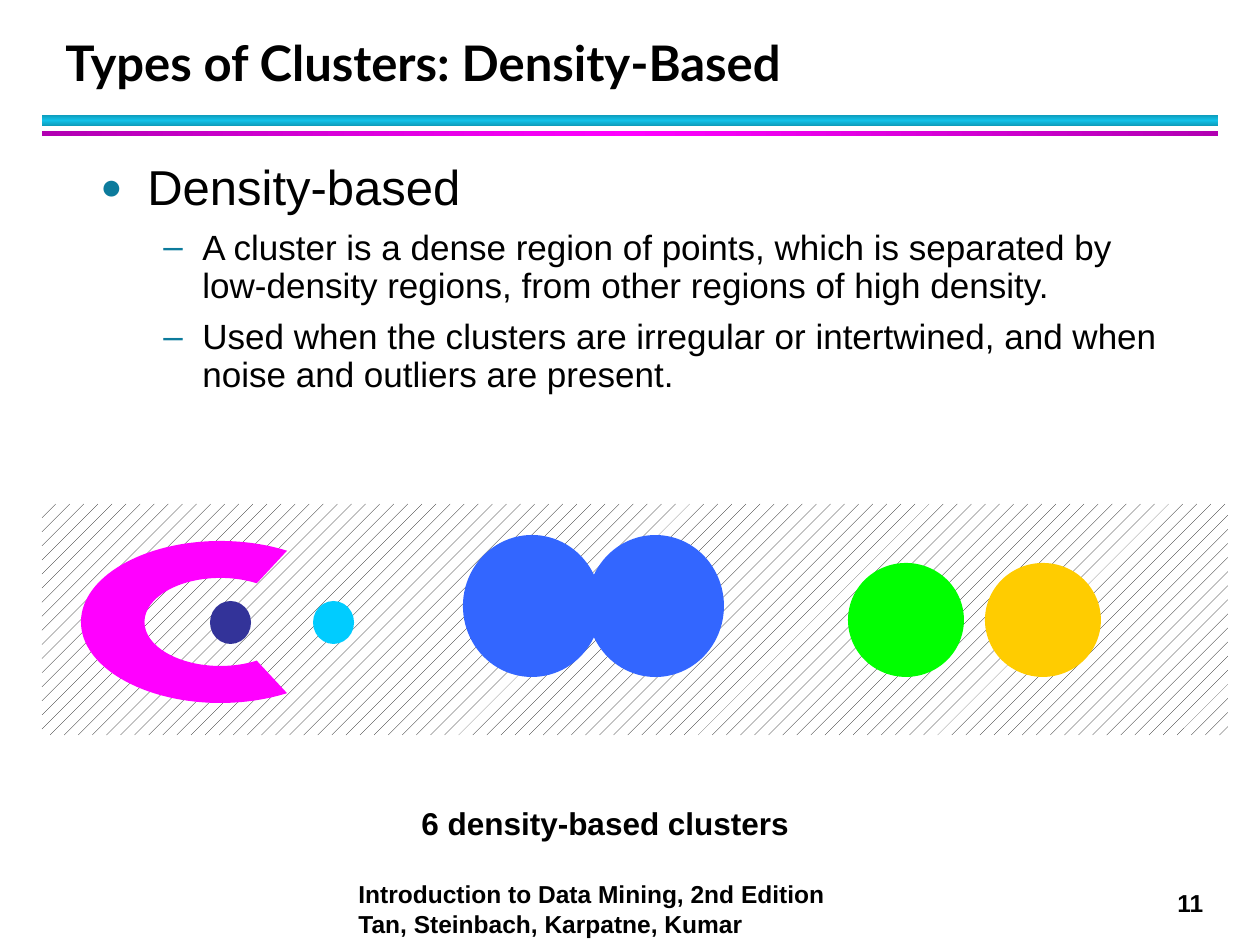
from dataclasses import dataclass
from math import cos, radians, sin, tan

from lxml.etree import SubElement
from pptx import Presentation
from pptx.dml.color import RGBColor
from pptx.enum.dml import MSO_PATTERN as Pattern
from pptx.enum.shapes import MSO_SHAPE as Preset
from pptx.enum.text import MSO_ANCHOR as Anchor, MSO_AUTO_SIZE as AutoSize
from pptx.oxml import parse_xml
from pptx.oxml.ns import nsdecls, qn
from pptx.util import Emu, Pt

EMU_PER_PX = 914400 / 126
BULLET_COLOR = "0C7B9C"


@dataclass
class Box:
    left: int
    top: int
    width: int
    height: int


@dataclass
class Band:
    box: Box
    edge: str
    middle: str
    angle: int


@dataclass
class Cluster:
    box: Box
    color: str


@dataclass
class Label:
    box: Box
    text: str
    size: int
    font: str = "Arial"
    wrap: bool = True


@dataclass
class Level:
    size: int
    margin: int
    hanging: int
    bullet: str
    bullet_percent: int


TOP = Level(28, 47, 47, "●", 75)
SUB = Level(20, 102, 39, "–", 100)

BANDS = [
    Band(Box(42, 115, 1176, 11), "0E9BBA", "12C2E9", 90),
    Band(Box(42, 131, 1176, 5), "B200B2", "FF00FF", 0),
]
NOISE = Box(42, 504, 1186, 231)
CLUSTERS = [
    Cluster(Box(210, 601, 41, 43), "333399"),
    Cluster(Box(313, 601, 41, 43), "00CCFF"),
    Cluster(Box(848, 563, 116, 114), "00FF00"),
    Cluster(Box(985, 563, 116, 114), "FFCC00"),
    Cluster(Box(463, 535, 138, 142), "3366FF"),
    Cluster(Box(587, 535, 137, 142), "3366FF"),
]
TITLE = Label(Box(53, 22, 1142, 76), "Types of Clusters: Density-Based", 28, "Lato")
LABELS = [
    Label(Box(1165, 882, 55, 43), "11", 14, wrap=False),
    Label(Box(346, 873, 514, 72),
          "Introduction to Data Mining, 2nd Edition Tan, Steinbach, Karpatne, Kumar", 14),
    Label(Box(409, 798, 441, 50), "6 density-based clusters", 18),
]
BODY = Box(88, 157, 1103, 704)
BODY_LINES = [
    (TOP, "Density-based"),
    (SUB, "A cluster is a dense region of points, which is separated by "
          "low-density regions, from other regions of high density."),
    (SUB, "Used when the clusters are irregular or intertwined, and when "
          "noise and outliers are present."),
]


def px(length: float) -> Emu:
    return Emu(round(length * EMU_PER_PX))


def rgb(color: str) -> RGBColor:
    return RGBColor.from_string(color)


def place(box: Box) -> tuple:
    return px(box.left), px(box.top), px(box.width), px(box.height)


def finish(shape, color: str = "") -> None:
    shape.shadow.inherit = False
    shape.line.fill.background()
    if color:
        shape.fill.solid()
        shape.fill.fore_color.rgb = rgb(color)


def add_band(page, band: Band) -> None:
    shape = page.shapes.add_shape(Preset.RECTANGLE, *place(band.box))
    finish(shape)
    stops = "".join(
        f'<a:gs pos="{position}"><a:srgbClr val="{color}"/></a:gs>'
        for position, color in ((0, band.edge), (50000, band.middle), (100000, band.edge)))
    gradient = parse_xml(
        f'<a:gradFill {nsdecls("a")}><a:gsLst>{stops}</a:gsLst>'
        f'<a:lin ang="{band.angle * 60000}" scaled="0"/></a:gradFill>')
    shape.element.spPr.find(qn("a:prstGeom")).addnext(gradient)


def add_noise(page, box: Box) -> None:
    shape = page.shapes.add_shape(Preset.RECTANGLE, *place(box))
    finish(shape)
    shape.fill.patterned()
    shape.fill.pattern = Pattern.PERCENT_10
    shape.fill.fore_color.rgb = rgb("000000")
    shape.fill.back_color.rgb = rgb("FFFFFF")


def add_crescent(page, color: str) -> None:
    angles = [61.5, 90, 180, 270, 298.5]
    outer, inner = (139.5, 81), (76, 44)
    nodes = [(outer, angle) for angle in angles]
    nodes += [(inner, angle) for angle in reversed(angles)]

    def point(radii: tuple, angle: float, pull: float = 0) -> tuple:
        """A point on the ellipse, moved along its tangent by pull."""
        turn = radians(angle)
        return (px(220.5 + radii[0] * (cos(turn) - pull * sin(turn))),
                px(622 + radii[1] * (sin(turn) + pull * cos(turn))))

    points = [point(*node) for node in nodes]
    builder = page.shapes.build_freeform(*points[0])
    builder.add_line_segments(points[1:], close=True)
    crescent = builder.convert_to_shape()
    finish(crescent, color)

    # Bend every side that stays on one ellipse
    sides = list(crescent.element.spPr.iter(qn("a:lnTo")))
    for side, (radii, start), (end_radii, end) in zip(sides, nodes, nodes[1:]):
        if radii != end_radii:
            continue
        pull = 4 / 3 * tan(radians(end - start) / 4)
        side.tag = qn("a:cubicBezTo")
        controls = [point(radii, start, pull), point(radii, end, -pull)]
        for index, (x, y) in enumerate(controls):
            control = parse_xml(f'<a:pt {nsdecls("a")} x="{x - crescent.left}" '
                                f'y="{y - crescent.top}"/>')
            side.insert(index, control)


def add_span(para, text: str, size: int, font: str, bold: bool) -> None:
    span = para.add_run()
    span.text = text
    span.font.size = Pt(size)
    span.font.name = font
    span.font.bold = bold
    span.font.color.rgb = rgb("000000")


def add_label(page, label: Label):
    frame = page.shapes.add_textbox(*place(label.box)).text_frame
    frame.word_wrap = label.wrap
    frame.auto_size = AutoSize.SHAPE_TO_FIT_TEXT
    add_span(frame.paragraphs[0], label.text, label.size, label.font, True)
    return frame


def add_title(page, label: Label) -> None:
    frame = add_label(page, label)
    frame.auto_size = AutoSize.NONE
    frame.vertical_anchor = Anchor.BOTTOM
    frame.paragraphs[0].line_spacing = Pt(36)


def set_bullet(para, level: Level) -> None:
    props = para._p.get_or_add_pPr()
    props.set("marL", str(px(level.margin)))
    props.set("indent", str(-px(level.hanging)))
    SubElement(SubElement(props, qn("a:buClr")), qn("a:srgbClr"), val=BULLET_COLOR)
    SubElement(props, qn("a:buSzPct"), val=str(level.bullet_percent * 1000))
    SubElement(props, qn("a:buFont"), typeface="Arial")
    SubElement(props, qn("a:buChar"), char=level.bullet)


def add_body(page, box: Box, lines: list) -> None:
    frame = page.shapes.add_textbox(*place(box)).text_frame
    frame.word_wrap = True
    for index, (level, text) in enumerate(lines):
        para = frame.add_paragraph() if index else frame.paragraphs[0]
        para.level = 0 if level is TOP else 1
        set_bullet(para, level)
        para.line_spacing = 0.9
        para.space_before = Pt(level.size * 0.2 if index else 0)
        para.space_after = Pt(4)
        add_span(para, text, level.size, "Arial", False)


def main() -> None:
    deck = Presentation()
    deck.slide_width, deck.slide_height = px(1260), px(945)
    page = deck.slides.add_slide(deck.slide_layouts[6])
    # Header and text
    for band in BANDS:
        add_band(page, band)
    add_title(page, TITLE)
    add_body(page, BODY, BODY_LINES)
    # Clusters on a background of noise
    add_noise(page, NOISE)
    add_crescent(page, "FF00FF")
    for cluster in CLUSTERS:
        finish(page.shapes.add_shape(Preset.OVAL, *place(cluster.box)), cluster.color)
    # Caption and footer
    for label in LABELS:
        add_label(page, label)
    deck.save("out.pptx")


if __name__ == "__main__":
    main()
